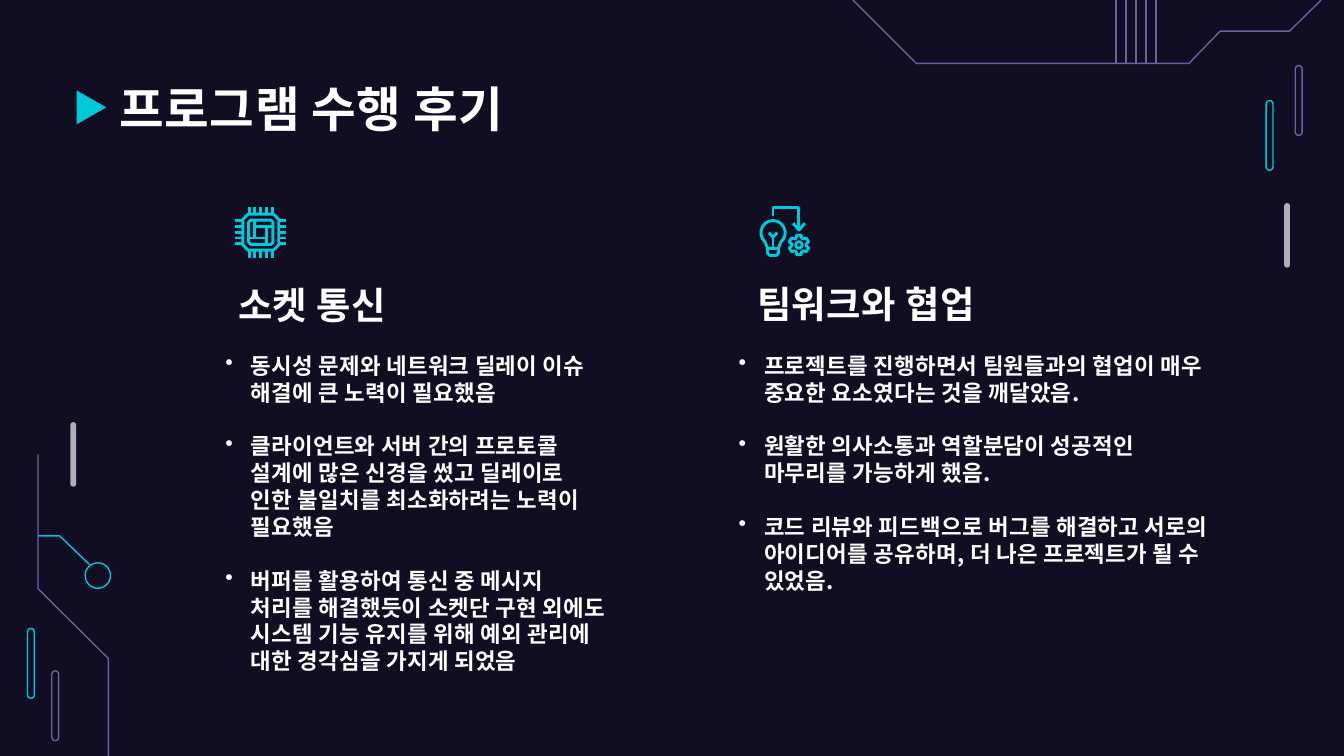
from math import cos, radians, sin

from lxml.etree import SubElement
from pptx import Presentation
from pptx.dml.color import RGBColor
from pptx.enum.shapes import MSO_CONNECTOR, MSO_SHAPE
from pptx.enum.text import MSO_ANCHOR
from pptx.oxml.ns import qn
from pptx.util import Cm, Pt

FONT = "Noto Sans CJK KR"
NAVY, CYAN, PURPLE, GRAY, WHITE = "110E24", "00CADA", "69639C", "AFAFB6", "FFFFFF"
THIN, ICON = 0.75, 1.6  # line widths in points

# All positions and sizes are in centimetres.
TITLE = "프로그램 수행 후기"
COLUMNS = [
    {
        "heading": "소켓 통신",
        "heading_box": (4.25, 5.08, 6.27, 1.35),
        "body_box": (4.01, 6.4, 7.7, 5.13),
        "points": [
            "동시성 문제와 네트워크 딜레이 이슈 해결에 큰 노력이 필요했음",
            "클라이언트와 서버 간의 프로토콜 설계에 많은 신경을 썼고 딜레이로 인한 "
            "불일치를 최소화하려는 노력이 필요했음",
            "버퍼를 활용하여 통신 중 메시지 처리를 해결했듯이 소켓단 구현 외에도 "
            "시스템 기능 유지를 위해 예외 관리에 대한 경각심을 가지게 되었음",
        ],
    },
    {
        "heading": "팀워크와 협업",
        "heading_box": (14.06, 5.06, 6.27, 1.35),
        "body_box": (13.71, 6.4, 9.45, 6.1),
        "points": [
            "프로젝트를 진행하면서 팀원들과의 협업이 매우 중요한 요소였다는 것을 깨달았음.",
            "원활한 의사소통과 역할분담이 성공적인 마무리를 가능하게 했음.",
            "코드 리뷰와 피드백으로 버그를 해결하고 서로의 아이디어를 공유하며, "
            "더 나은 프로젝트가 될 수 있었음.",
        ],
    },
]
OUTLINED_BARS = [(23.93, 1.9, CYAN), (24.48, 1.24, PURPLE),
                 (0.52, 11.88, CYAN), (0.98, 12.68, PURPLE)]
SOLID_BARS = [(24.27, 3.84), (1.33, 7.98)]
CIRCUITS = [
    (PURPLE, [(16.12, 0), (17.32, 1.2), (22.47, 1.2), (23.06, 0.59),
              (24.37, 0.59), (24.97, 0)]),
    (CYAN, [(1.69, 10.67), (1.13, 10.13), (0.72, 10.13)]),
    (PURPLE, [(0.72, 8.59), (0.72, 11.13), (2.05, 12.45), (2.05, 14.29)]),
]
CHIP_CENTER, BULB_CENTER, GEAR_CENTER = (4.93, 4.39), (14.61, 4.4), (15.1, 4.63)

presentation = Presentation()
presentation.slide_width, presentation.slide_height = Cm(25.4), Cm(14.29)
slide = presentation.slides.add_slide(presentation.slide_layouts[6])


def color(value):
    return RGBColor.from_string(value)


def style(shape, fill=None, line=None, width=THIN):
    shape.shadow.inherit = False
    if fill:
        shape.fill.solid()
        shape.fill.fore_color.rgb = color(fill)
    else:
        shape.fill.background()
    if line:
        shape.line.color.rgb = color(line)
        shape.line.width = Pt(width)
    else:
        shape.line.fill.background()
    return shape


def add_preset(kind, box, **look):
    return style(slide.shapes.add_shape(kind, *map(Cm, box)), **look)


def add_circle(center, radius, **look):
    x, y = center
    add_preset(MSO_SHAPE.OVAL, (x - radius, y - radius, 2 * radius, 2 * radius), **look)


def add_bar(box, **look):
    add_preset(MSO_SHAPE.ROUNDED_RECTANGLE, box, **look).adjustments[0] = 0.5


def add_strokes(strokes, line, width=THIN, center=(0, 0)):
    """Draw several lines, given relative to center, as one freeform."""
    strokes = [[(Cm(center[0] + x), Cm(center[1] + y)) for x, y in stroke]
               for stroke in strokes]
    builder = slide.shapes.build_freeform(*strokes[0][0])
    for index, stroke in enumerate(strokes):
        if index:
            builder.move_to(*stroke[0])
        builder.add_line_segments(stroke[1:], close=False)
    style(builder.convert_to_shape(), line=line, width=width)


def add_line(start, end, line):
    connector = slide.shapes.add_connector(
        MSO_CONNECTOR.STRAIGHT, *map(Cm, (*start, *end)))
    connector.line.color.rgb = color(line)
    connector.line.width = Pt(THIN)
    SubElement(connector._element.spPr, qn("a:effectLst"))


def polar(radius, angle):
    return radius * cos(radians(angle)), radius * sin(radians(angle))


def add_text(text, box, size, anchor=MSO_ANCHOR.TOP, bullets=False, gap=0):
    """Add one paragraph for each item of text, or a single one for a string."""
    frame = slide.shapes.add_textbox(*map(Cm, box)).text_frame
    frame.word_wrap = True
    frame.vertical_anchor = anchor
    frame.margin_left = frame.margin_right = Cm(0.25)
    frame.margin_top = frame.margin_bottom = Cm(0.25)
    for index, line in enumerate([text] if isinstance(text, str) else text):
        paragraph = frame.paragraphs[0] if index == 0 else frame.add_paragraph()
        paragraph.space_before = Pt(gap if index else 0)
        if bullets:
            properties = paragraph._p.get_or_add_pPr()
            properties.set("marL", str(Cm(0.48)))
            properties.set("indent", str(-Cm(0.48)))
            SubElement(properties, qn("a:buChar"), char="•")
        run = paragraph.add_run()
        run.text = line
        run.font.name, run.font.size, run.font.bold = FONT, Pt(size), True
        run.font.color.rgb = color(WHITE)
        run.font._element.set("spc", str(round(size * 1.1)))  # slightly open tracking
        SubElement(run.font._element, qn("a:ea"), typeface=FONT)


def add_chip_icon(center):
    frames, pins, core = [], [], []
    for half, cut in ((0.34, 0.1), (0.23, 0.04)):
        near = half - cut
        frames.append([(-near, -half), (near, -half), (half, -near), (half, near),
                       (near, half), (-near, half), (-half, near), (-half, -near),
                       (-near, -half)])
    for side in (-1, 1):
        inner, outer = side * 0.34, side * 0.48
        for step in range(-2, 3):
            along = step * 0.11
            pins += [[(along, inner), (along, outer)], [(inner, along), (outer, along)]]
        near, far = side * 0.11, side * 0.23
        core += [[(near, far), (near, -near)], [(far, -near), (-near, -near)]]
    add_strokes(frames[:1] + pins, CYAN, ICON, center)
    add_strokes(frames[1:] + core, CYAN, ICON, center)


def add_idea_icon(bulb, gear):
    glass = [polar(0.23, angle) for angle in range(130, 411, 20)]
    base = [(0.1, 0.3), (0.1, 0.39), (0.06, 0.43),
            (-0.06, 0.43), (-0.1, 0.39), (-0.1, 0.3)]
    filament = [(-0.08, 0), (0, 0.08), (0.08, 0)]
    add_strokes([glass + base + glass[:1], [base[0], base[-1]],
                 filament, [(0, 0.08), (0, 0.3)]], CYAN, ICON, bulb)
    teeth = [polar(radius, tooth + turn) for tooth in range(-90, 270, 60)
             for radius, turn in ((0.14, -22), (0.19, -13), (0.19, 13), (0.14, 22))]
    add_strokes([teeth + teeth[:1]], CYAN, ICON, gear)
    add_circle(gear, 0.06, line=CYAN, width=ICON)
    left, right, top, tip = bulb[0], gear[0], 3.92, 4.35
    add_strokes([[(left, 4.09), (left, top), (right, top), (right, tip)],
                 [(right - 0.11, 4.22), (right, tip), (right + 0.11, 4.22)]], CYAN, ICON)


slide.background.fill.solid()
slide.background.fill.fore_color.rgb = color(NAVY)
for left, top, tint in OUTLINED_BARS:
    add_bar((left, top, 0.13, 1.32), line=tint)
for left, top in SOLID_BARS:
    add_bar((left, top, 0.11, 1.22), fill=GRAY)
for index in range(5):
    x = 21.09 + index * 0.19
    add_line((x, 0), (x, 1.2), PURPLE)
for tint, points in CIRCUITS:
    add_strokes([points], tint)
add_circle((1.85, 10.88), 0.24, line=CYAN)
add_preset(MSO_SHAPE.FLOWCHART_MERGE, (1.41, 1.75, 0.64, 0.56), fill=CYAN).rotation = 270

add_text(TITLE, (2.01, 1.24, 21.41, 1.6), 26)
for column in COLUMNS:
    add_text(column["heading"], column["heading_box"], 20, anchor=MSO_ANCHOR.BOTTOM)
    add_text(column["points"], column["body_box"], 12, bullets=True, gap=14.4)
add_chip_icon(CHIP_CENTER)
add_idea_icon(BULB_CENTER, GEAR_CENTER)

presentation.save("out.pptx")
